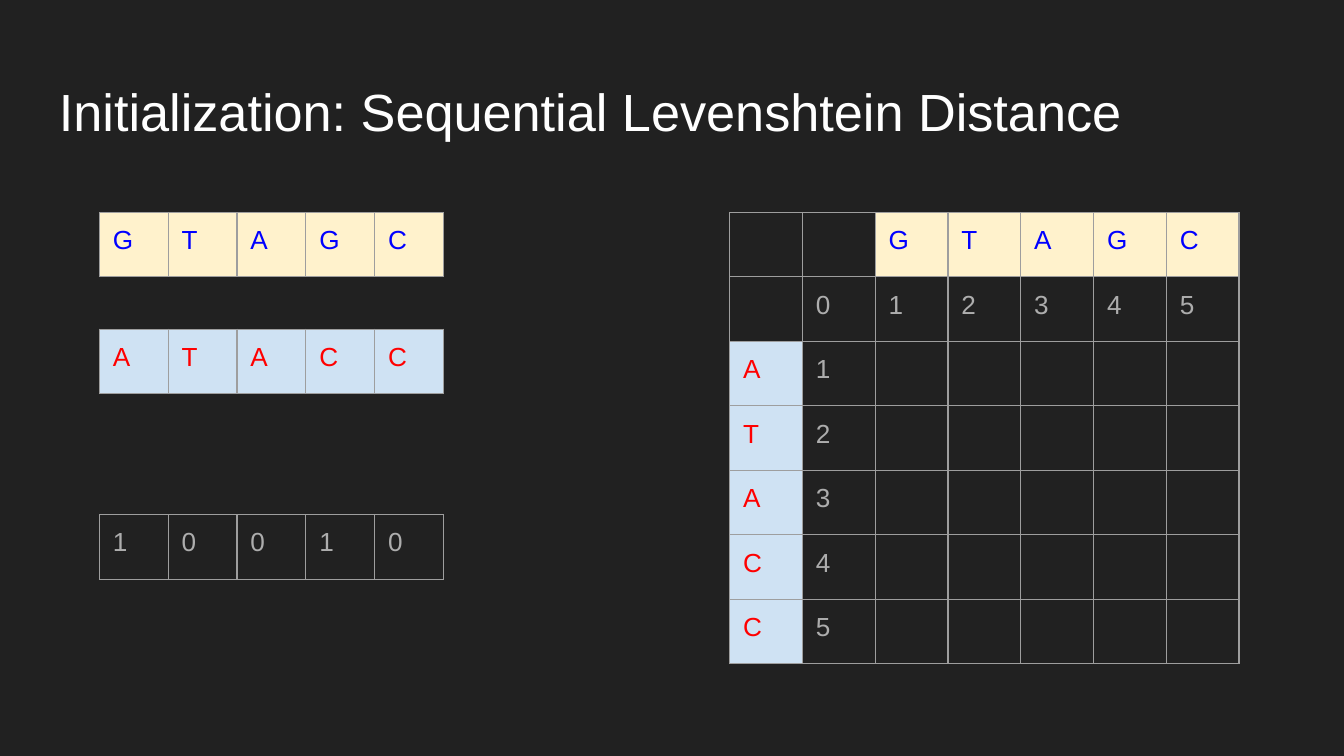
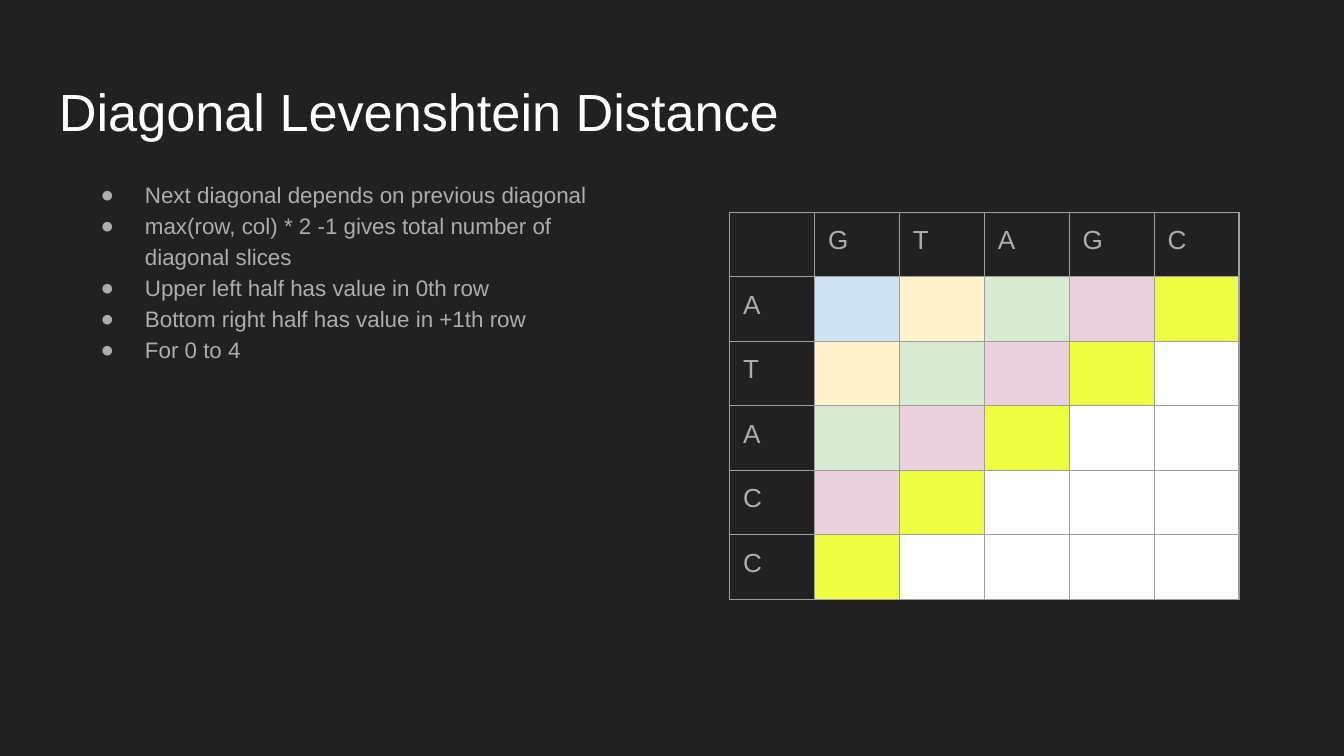
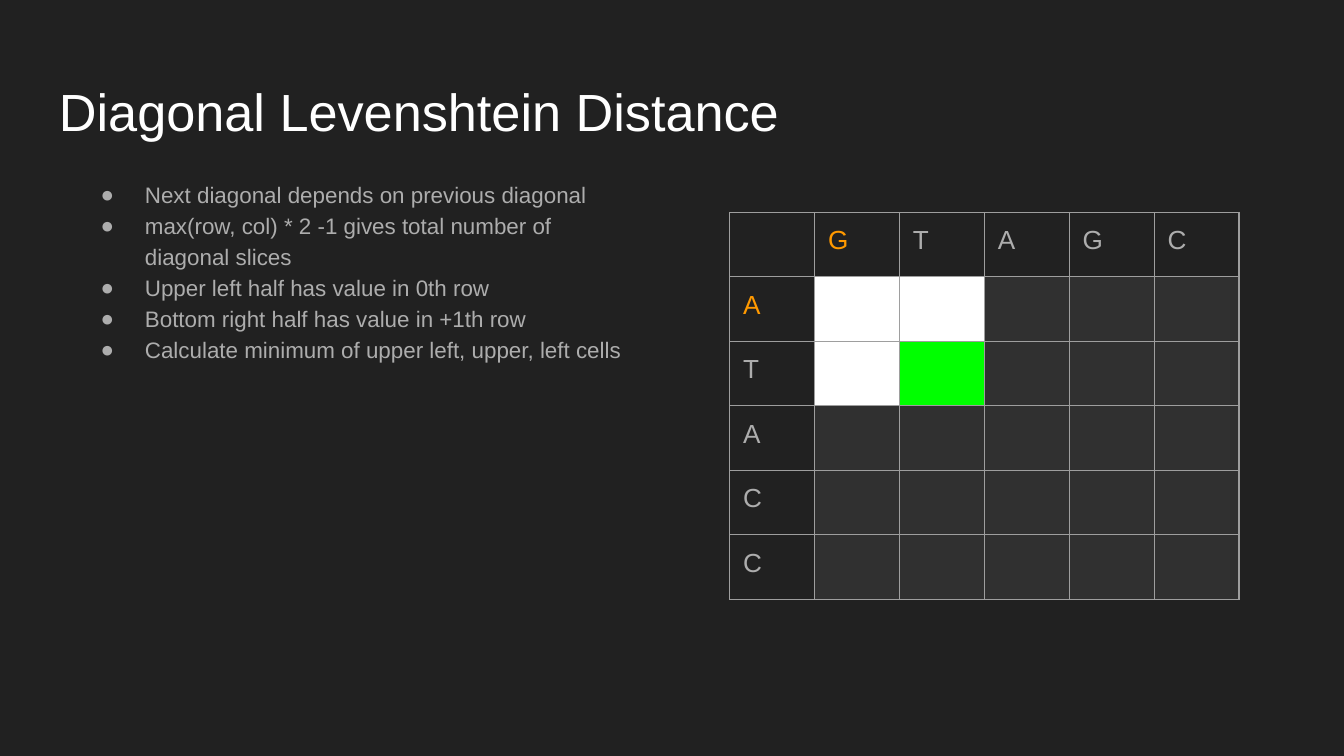
from lxml import etree
from pptx import Presentation
from pptx import util as u
from pptx.dml.color import RGBColor
from pptx.oxml import ns

BACKGROUND = RGBColor(0x21, 0x21, 0x21)
WHITE = RGBColor(0xFF, 0xFF, 0xFF)
GREY = RGBColor(0xAD, 0xAD, 0xAD)
BORDER = RGBColor(0x9E, 0x9E, 0x9E)
DARK = RGBColor(0x30, 0x30, 0x30)
BLUE = RGBColor(0x00, 0x00, 0xFF)
RED = RGBColor(0xFF, 0x00, 0x00)
ORANGE = RGBColor(0xFF, 0x99, 0x00)
GREEN = RGBColor(0x00, 0xFF, 0x00)
CREAM = RGBColor(0xFF, 0xF2, 0xCC)
PALE_BLUE = RGBColor(0xCF, 0xE2, 0xF3)
PALE_GREEN = RGBColor(0xD9, 0xEA, 0xD3)
PINK = RGBColor(0xEA, 0xD1, 0xDC)
YELLOW = RGBColor(0xEE, 0xFF, 0x41)
DIAGONALS = [PALE_BLUE, CREAM, PALE_GREEN, PINK, YELLOW]

FONT = "Arial"
INSET = u.Inches(0.1)
ROW_HEIGHT = 0.48
FRAME_SIZE = 3.28
MATRIX_LEFT, MATRIX_TOP, MATRIX_WIDTH = 5.43, 1.58, 3.79
STRIP_LEFT, STRIP_WIDTH = 0.74, 2.56
ACROSS, DOWN = "GTAGC", "ATACC"

TITLES = [
    "Initialization: Sequential Levenshtein Distance",
    "Diagonal Levenshtein Distance",
    "Diagonal Levenshtein Distance",
]
SHARED_POINTS = [
    "Next diagonal depends on previous diagonal",
    "max(row, col) * 2 -1 gives total number of diagonal slices",
    "Upper left half has value in 0th row",
    "Bottom right half has value in +1th row",
]
LAST_POINTS = ["For 0 to 4", "Calculate minimum of upper left, upper, left cells"]


def add_text(slide, left, top, width, height, lines, size, color):
    box = slide.shapes.add_textbox(*map(u.Inches, (left, top, width, height)))
    frame = box.text_frame
    frame.word_wrap = True
    frame.margin_left = frame.margin_right = INSET
    frame.margin_top = frame.margin_bottom = INSET
    frame.text = "\n".join(lines)
    for paragraph in frame.paragraphs:
        if len(lines) > 1:
            paragraph.line_spacing = 1.15
            properties = paragraph._p.get_or_add_pPr()
            properties.set("marL", str(u.Inches(0.5)))
            properties.set("indent", str(u.Inches(-0.33)))
            bullet_color = etree.SubElement(properties, ns.qn("a:buClr"))
            etree.SubElement(bullet_color, ns.qn("a:srgbClr"), val=str(color))
            etree.SubElement(properties, ns.qn("a:buSzPts"), val=str(size * 100))
            etree.SubElement(properties, ns.qn("a:buFont"), typeface=FONT)
            etree.SubElement(properties, ns.qn("a:buChar"), char="●")
        paragraph.font.name = FONT
        paragraph.font.size = u.Pt(size)
        paragraph.font.color.rgb = color


def add_grid(slide, left, top, width, rows):
    """Draw a bordered table from rows of (text, text colour, fill or None)."""
    columns = len(rows[0])
    table = slide.shapes.add_table(
        len(rows), columns, u.Inches(left), u.Inches(top),
        u.Inches(FRAME_SIZE), u.Inches(FRAME_SIZE)).table
    table.first_row = table.horz_banding = False
    for column in table.columns:
        column.width = u.Inches(width / columns)
    for table_row in table.rows:
        table_row.height = u.Inches(ROW_HEIGHT)
    # Resizing columns and rows resizes the frame, so it is set last
    frame = slide.shapes[-1]
    frame.width = frame.height = u.Inches(FRAME_SIZE)
    for r, row in enumerate(rows):
        for c, (content, color, fill) in enumerate(row):
            cell = table.cell(r, c)
            if fill is None:
                cell.fill.background()
            else:
                cell.fill.solid()
                cell.fill.fore_color.rgb = fill
            if content:
                cell.margin_left = cell.margin_right = INSET
                cell.margin_top = cell.margin_bottom = INSET
                cell.text = content
                font = cell.text_frame.paragraphs[0].font
                font.name = FONT
                font.size = u.Pt(14)
                font.color.rgb = color
            properties = cell._tc.get_or_add_tcPr()
            for position, side in enumerate(("lnL", "lnR", "lnT", "lnB")):
                line = etree.Element(ns.qn(f"a:{side}"), w=str(u.Pt(0.75)))
                solid = etree.SubElement(line, ns.qn("a:solidFill"))
                etree.SubElement(solid, ns.qn("a:srgbClr"), val=str(BORDER))
                properties.insert(position, line)


presentation = Presentation()
presentation.slide_width = u.Inches(10)
presentation.slide_height = u.Inches(5.625)

slides = []
for title in TITLES:
    slide = presentation.slides.add_slide(presentation.slide_layouts[6])
    slide.background.fill.solid()
    slide.background.fill.fore_color.rgb = BACKGROUND
    add_text(slide, 0.34, 0.49, 9.32, 0.63, [title], 28, WHITE)
    slides.append(slide)

# Starting matrix, with the two sequences and their match bits
empty = ("", GREY, None)
across_cells = [(letter, BLUE, CREAM) for letter in ACROSS]
down_cells = [(letter, RED, PALE_BLUE) for letter in DOWN]
match_cells = [(bit, GREY, None) for bit in "10010"]
matrix = [
    [empty, empty] + across_cells,
    [empty] + [(str(count), GREY, None) for count in range(len(ACROSS) + 1)],
]
for count, letter_cell in enumerate(down_cells, start=1):
    matrix.append([letter_cell, (str(count), GREY, None)] + [empty] * len(ACROSS))
add_grid(slides[0], MATRIX_LEFT, MATRIX_TOP, MATRIX_WIDTH, matrix)
for top, strip in ((MATRIX_TOP, across_cells), (2.45, down_cells), (3.83, match_cells)):
    add_grid(slides[0], STRIP_LEFT, top, STRIP_WIDTH, [strip])

# Diagonal slices, then the neighbours that one cell depends on
slice_fills, neighbour_fills = {}, {}
for r in range(len(DOWN)):
    for c in range(len(ACROSS)):
        slice_fills[r, c] = DIAGONALS[r + c] if r + c < len(DIAGONALS) else WHITE
        neighbour_fills[r, c] = WHITE if r + c < 2 else DARK
neighbour_fills[1, 1] = GREEN

for slide, last_point, fills, first_color in zip(
        slides[1:], LAST_POINTS, (slice_fills, neighbour_fills), (GREY, ORANGE)):
    add_text(slide, 0.48, 1.22, 4.28, 3.99, SHARED_POINTS + [last_point], 12, GREY)
    letter_colors = [first_color] + [GREY] * (len(ACROSS) - 1)
    matrix = [[empty] + [(letter, color, None)
                         for letter, color in zip(ACROSS, letter_colors)]]
    for r, letter in enumerate(DOWN):
        matrix.append([(letter, letter_colors[r], None)]
                      + [("", GREY, fills[r, c]) for c in range(len(ACROSS))])
    add_grid(slide, MATRIX_LEFT, MATRIX_TOP, MATRIX_WIDTH, matrix)

presentation.save("out.pptx")
